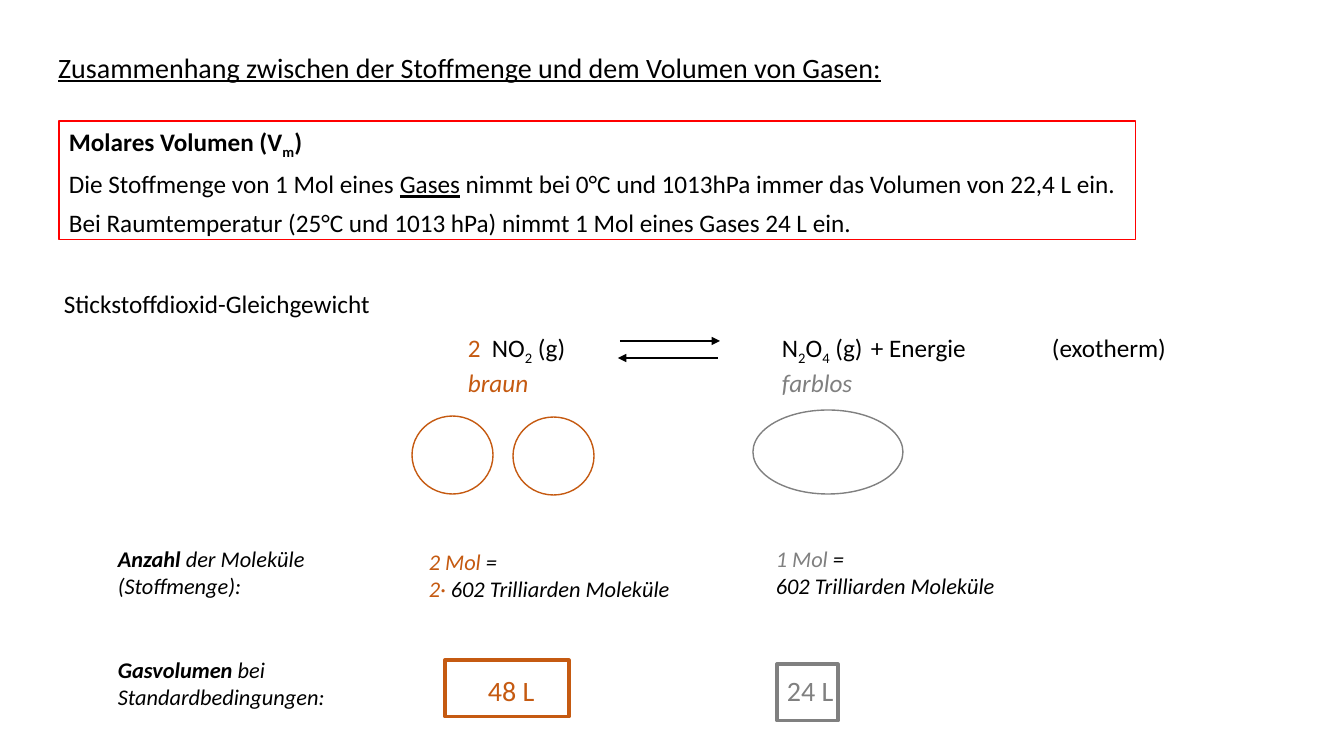
from lxml.etree import SubElement
from pptx import Presentation
from pptx.dml.color import RGBColor
from pptx.enum.shapes import MSO_CONNECTOR as Connector, MSO_SHAPE as Shape
from pptx.enum.text import MSO_ANCHOR as Anchor, PP_ALIGN as Align
from pptx.oxml.ns import qn
from pptx.util import Pt

EMU_PER_PX = 914400 / 100.8
COLORS = {"black": "000000", "white": "FFFFFF", "brown": "C55A11",
          "gray": "808080", "red": "FF0000"}
BROWN, GRAY = {"color": "brown"}, {"color": "gray"}
BOLD, SUB = {"bold": True}, {"sub": True}


def px(*lengths):
    return [round(length * EMU_PER_PX) for length in lengths]


def rgb(name):
    return RGBColor.from_string(COLORS[name])


def write(frame, paragraphs, size=18, color="black", bold=False, italic=False,
          underline=False, after=0, tabs=()):
    """Fill a frame; a paragraph is a list of strings or (string, format) pairs."""
    frame.word_wrap = True
    frame.vertical_anchor = Anchor.TOP
    base = {"color": color, "bold": bold, "italic": italic,
            "underline": underline, "sub": False}
    for index, runs in enumerate(paragraphs):
        paragraph = frame.add_paragraph() if index else frame.paragraphs[0]
        paragraph.alignment = Align.LEFT
        paragraph.space_before = Pt(0)
        paragraph.space_after = Pt(after if index < len(paragraphs) - 1 else 0)
        if tabs:
            tab_list = SubElement(paragraph._p.get_or_add_pPr(), qn("a:tabLst"))
            for position in px(*tabs):
                SubElement(tab_list, qn("a:tab"), pos=str(position), algn="l")
        for item in runs:
            text, changes = (item, {}) if isinstance(item, str) else item
            style = {**base, **changes}
            run = paragraph.add_run()
            run.text = text
            font = run.font
            font.name, font.size = "Calibri", Pt(size)
            font.bold, font.italic = style["bold"], style["italic"]
            font.underline = style["underline"]
            font.color.rgb = rgb(style["color"])
            if style["sub"]:
                run._r.get_or_add_rPr().set("baseline", "-25000")


def add_text(slide, box, paragraphs, **style):
    write(slide.shapes.add_textbox(*px(*box)).text_frame, paragraphs, **style)


def add_outline(slide, kind, box, color, width, fill=None):
    shape = slide.shapes.add_shape(kind, *px(*box))
    shape.shadow.inherit = False
    if fill:
        shape.fill.solid()
        shape.fill.fore_color.rgb = rgb(fill)
    else:
        shape.fill.background()
    shape.line.color.rgb = rgb(color)
    shape.line.width = Pt(width)
    return shape


def add_arrow(slide, start, end, y):
    arrow = slide.shapes.add_connector(Connector.STRAIGHT, *px(start, y, end, y))
    arrow.line.color.rgb = rgb("black")
    arrow.line.width = Pt(1.5)
    SubElement(arrow.line._get_or_add_ln(), qn("a:tailEnd"), type="triangle")
    SubElement(arrow._element.spPr, qn("a:effectLst"))


def add_volume(slide, box, label_box, label, color):
    add_outline(slide, Shape.RECTANGLE, box, color, 2.25, fill="white")
    add_text(slide, label_box, [[label]], size=20, color=color)


def main():
    presentation = Presentation()
    presentation.slide_width, presentation.slide_height = px(1344, 756)
    slide = presentation.slides.add_slide(presentation.slide_layouts[5])

    # Title
    title = slide.shapes.title
    title.left, title.top, title.width, title.height = px(48, 45, 873, 44)
    write(title.text_frame,
          [["Zusammenhang zwischen der Stoffmenge und dem Volumen von Gasen:"]],
          size=20, underline=True)

    # Definition of the molar volume
    definition = add_outline(slide, Shape.RECTANGLE, (59, 121, 1077, 119), "red", 0.75)
    write(definition.text_frame, [
        [("Molares Volumen (V", BOLD), ("m", {**BOLD, **SUB}), (")", BOLD)],
        ["Die Stoffmenge von 1 Mol eines ", ("Gases", {"underline": True}),
         " nimmt bei 0°C und 1013hPa immer das Volumen von 22,4 L ein."],
        ["Bei Raumtemperatur (25°C und 1013 hPa) nimmt 1 Mol eines Gases 24 L ein."],
    ], after=6)

    # Equilibrium equation
    add_text(slide, (54, 283, 501, 40), [["Stickstoffdioxid-Gleichgewicht"]])
    add_text(slide, (458, 327, 860, 72), [
        [("2", BROWN), "\tNO", ("2", SUB), " (g)\tN", ("2", SUB), "O", ("4", SUB),
         " (g)\t+ Energie\t(exotherm)"],
    ], tabs=(24, 314, 403, 584))
    add_text(slide, (458, 362, 500, 40), [[("braun", BROWN), ("\tfarblos", GRAY)]],
             italic=True, tabs=(314,))
    add_arrow(slide, 620, 720, 341)
    add_arrow(slide, 718, 618, 358)

    # Molecules
    for box, color in (((412, 416, 81, 78), "brown"),
                       ((513, 417, 81, 78), "brown"),
                       ((753, 410, 150, 84), "gray")):
        add_outline(slide, Shape.OVAL, box, color, 1)

    # Amount of substance and row labels
    for box, paragraphs in (
        ((108, 540, 269, 65), [[("Anzahl", BOLD), " der Moleküle (Stoffmenge):"]]),
        ((419, 543, 305, 65), [[("2 Mol ", BROWN), "="],
                               [("2·", BROWN), " 602 Trilliarden Moleküle"]]),
        ((766, 540, 252, 65), [[("1 Mol ", GRAY), "="], ["602 Trilliarden Moleküle"]]),
        ((108, 651, 243, 65), [[("Gasvolumen", BOLD), " bei"],
                               ["Standardbedingungen:"]]),
    ):
        add_text(slide, box, paragraphs, size=16, italic=True)

    # Gas volumes
    add_volume(slide, (445, 660, 124, 57), (478, 669, 74, 44), "48 L", "brown")
    add_volume(slide, (777, 664, 61, 57), (777, 669, 77, 44), "24 L", "gray")

    presentation.save("out.pptx")


if __name__ == "__main__":
    main()
